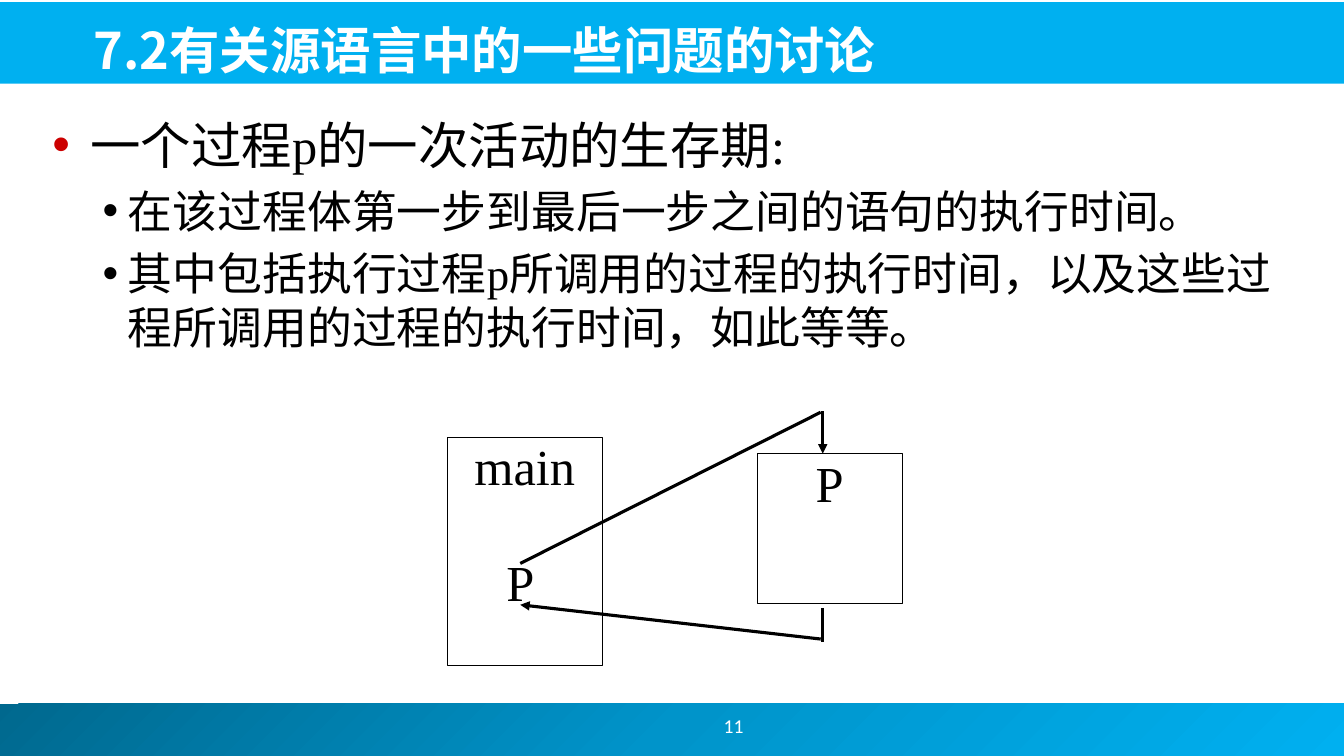
from copy import deepcopy

from lxml import etree
from pptx import Presentation
from pptx import util as u
from pptx.dml.color import RGBColor
from pptx.enum import shapes, text
from pptx.oxml.ns import qn

PX = 9144
SERIF = "Times New Roman"
BLACK, WHITE, CYAN = "000000", "FFFFFF", "00B0F0"


def px(length):
    return u.Emu(length * PX)


def color(value):
    return RGBColor.from_string(value)


def add_span(para, words, size, ink=BLACK, face=SERIF, bold=False):
    span = para.add_run()
    span.text = words
    span.font.size = u.Pt(size)
    span.font.name = face
    span.font.bold = bold
    span.font.color.rgb = color(ink)


def add_text_box(page, area, anchor=text.MSO_ANCHOR.TOP):
    box = page.shapes.add_textbox(*map(px, area))
    frame = box.text_frame
    frame.word_wrap = True
    frame.vertical_anchor = anchor
    return frame


def add_rectangle(page, area):
    box = page.shapes.add_shape(shapes.MSO_SHAPE.RECTANGLE, *map(px, area))
    box.shadow.inherit = False
    return box


def add_bullet(para, indent, hanging, ink):
    props = para._p.get_or_add_pPr()
    props.set("marL", str(px(indent)))
    props.set("indent", str(px(-hanging)))
    paint = etree.SubElement(props, qn("a:buClr"))
    etree.SubElement(paint, qn("a:srgbClr"), val=ink)
    etree.SubElement(props, qn("a:buFont"), typeface="Arial")
    etree.SubElement(props, qn("a:buChar"), char="•")


def add_line(page, start, end, arrow=False):
    line = page.shapes.add_connector(
        shapes.MSO_CONNECTOR.STRAIGHT, *map(px, start + end))
    line.line.width = u.Pt(2.25)
    line.line.color.rgb = color(BLACK)
    if arrow:
        etree.SubElement(line.line._get_or_add_ln(), qn("a:tailEnd"), type="triangle")
    etree.SubElement(line._element.spPr, qn("a:effectLst"))


def add_header(page, left, top, width, height):
    band = add_rectangle(page, (left, top, width, height))
    band.fill.solid()
    band.fill.fore_color.rgb = color(CYAN)
    band.line.fill.background()
    frame = add_text_box(page, (left + 85, top + 3, 1181, 79), text.MSO_ANCHOR.BOTTOM)
    para = frame.paragraphs[0]
    add_span(para, "7.2", 36, WHITE, "Noto Sans CJK JP", True)
    add_span(para, "有关源语言中的一些问题的讨论", 36, WHITE, bold=True)


def add_footer(page, left, top, width, height):
    band = add_rectangle(page, (left, top, width, height))
    band.line.fill.background()
    band.fill.gradient()
    band.fill.gradient_angle = 315
    first, last = band.fill.gradient_stops
    first.color.rgb, last.color.rgb = color("00688E"), color(CYAN)
    first.position, last.position = 0, 1
    stops = band._element.spPr.find(".//" + qn("a:gsLst"))
    stops.insert(1, deepcopy(stops[0]))
    middle = band.fill.gradient_stops[1]
    middle.position = 0.5
    middle.color.rgb = color("0094CA")
    frame = add_text_box(page, (left + 588, top - 3, 289, 50), text.MSO_ANCHOR.MIDDLE)
    para = frame.paragraphs[0]
    para.alignment = text.PP_ALIGN.CENTER
    add_span(para, "11", 14, WHITE, "Calibri")


def add_body(page, *area):
    frame = add_text_box(page, area)
    heading = frame.paragraphs[0]
    add_bullet(heading, 38, 38, "CC0000")
    add_span(heading, "一个过程p的一次活动的生存期:", 36)
    for words in (
        "在该过程体第一步到最后一步之间的语句的执行时间。",
        "其中包括执行过程p所调用的过程的执行时间，以及这些过程所调用的过程的执行时间，如此等等。",
    ):
        para = frame.add_paragraph()
        para.level = 1
        add_bullet(para, 75, 25, BLACK)
        para.space_before = u.Pt(6.4)
        add_span(para, words, 32)


def add_procedure(page, area, name):
    box = add_rectangle(page, area)
    box.fill.background()
    box.line.color.rgb = color(BLACK)
    box.line.width = u.Pt(0.25)
    frame = box.text_frame
    frame.word_wrap = True
    frame.vertical_anchor = text.MSO_ANCHOR.TOP
    para = frame.paragraphs[0]
    para.alignment = text.PP_ALIGN.CENTER
    para.line_spacing = 0.9
    add_span(para, name, 36)


def add_call_diagram(page, left, top):
    def at(x, y):
        return left + x, top + y

    add_procedure(page, at(0, 26) + (153, 226), "main")
    add_line(page, at(72, 151), at(370, 1))
    add_procedure(page, at(307, 42) + (144, 148), "P")
    add_line(page, at(370, 226), at(72, 192), arrow=True)
    para = add_text_box(page, at(36, 134) + (72, 70)).paragraphs[0]
    para.alignment = text.PP_ALIGN.CENTER
    add_span(para, "P", 36)
    add_line(page, at(372, 0), at(372, 42), arrow=True)
    add_line(page, at(372, 195), at(372, 229))


def main():
    deck = Presentation()
    deck.slide_width, deck.slide_height = px(1333), px(750)
    page = deck.slides.add_slide(deck.slide_layouts[6])
    add_footer(page, -5, 698, 1339, 52)
    add_header(page, -2, 2, 1336, 81)
    add_body(page, 42, 108, 1242, 317)
    add_call_diagram(page, 444, 408)
    deck.save("out.pptx")


if __name__ == "__main__":
    main()
